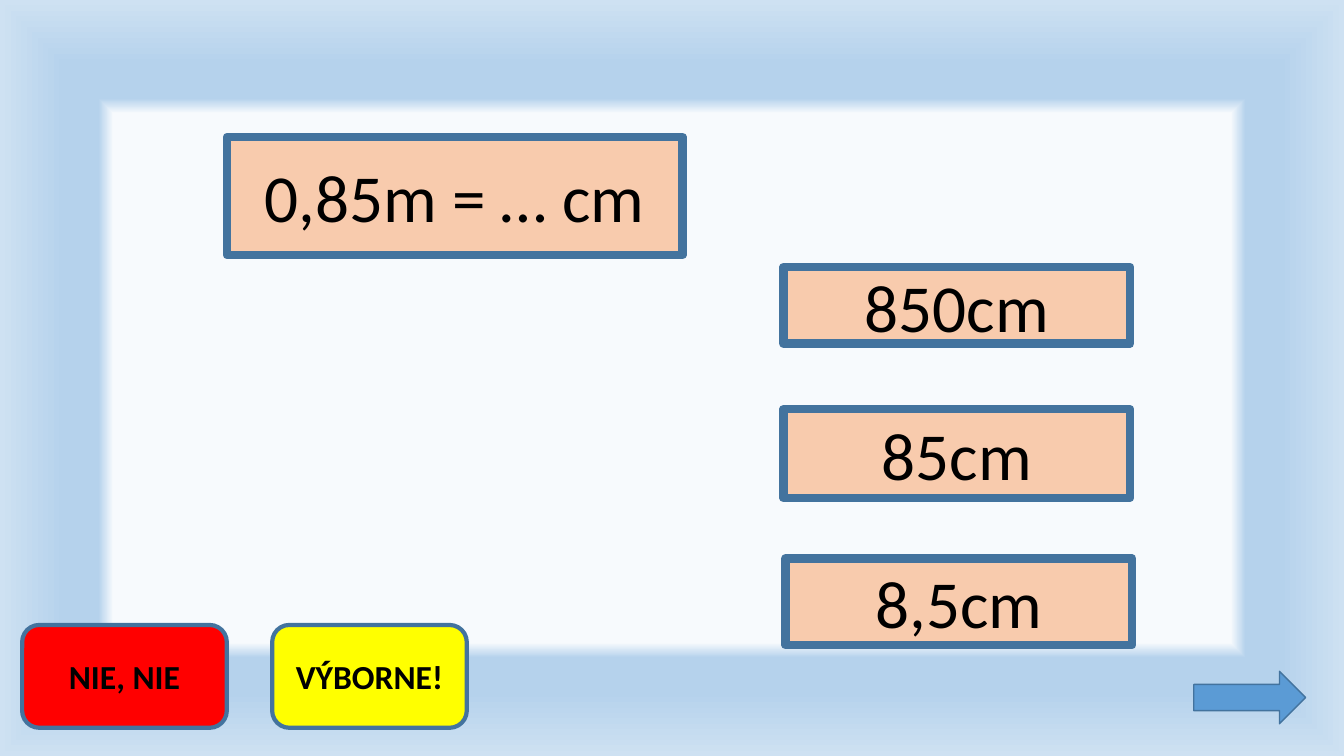
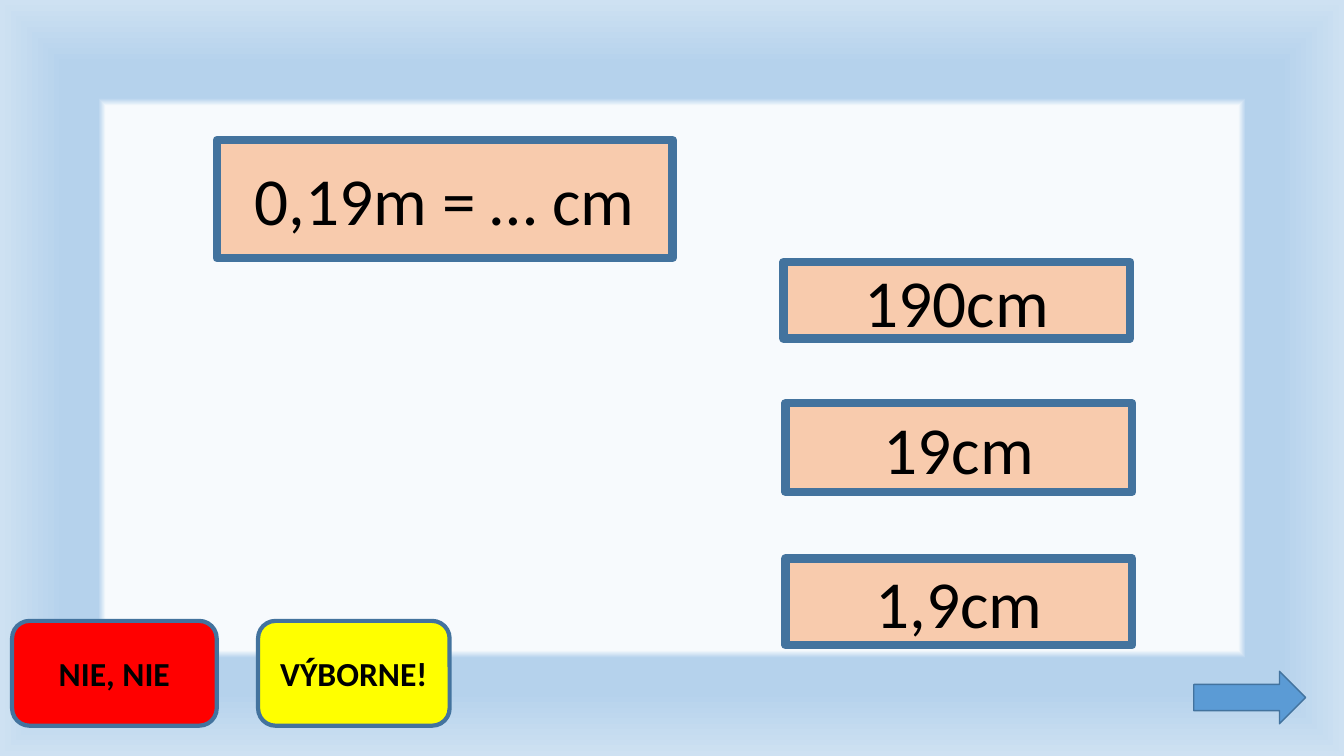
import pptx
import pptx.util
import pptx.oxml
import pptx.oxml.ns
import pptx.dml.color
import pptx.enum.shapes
import pptx.enum.text

Inches = pptx.util.Inches
SHAPE = pptx.enum.shapes.MSO_SHAPE
COLORS = {
    "center": "F7FAFD", "frame": "B5D2EC", "edge": "CEE1F2",
    "card": "F8CBAD", "outline": "43739E", "text": "000000",
    "wrong": "FF0000", "right": "FFFF00", "arrow": "5B9BD5",
}
CARD = {"kind": SHAPE.RECTANGLE, "line": 6, "font": {"size": 48, "bold": False}}
BUTTON = {"kind": SHAPE.ROUNDED_RECTANGLE, "line": 3, "font": {"size": 24, "bold": True}}
ARROW = {"kind": SHAPE.RIGHT_ARROW, "line": 1}

# Boxes are left, top, width, height in inches
QUIZ = [
    {"center_end": 70,
     "cards": [("0,85m = … cm", (2.25, 1.36, 4.52, 1.17)),
               ("850cm", (7.77, 2.65, 3.44, 0.76)),
               ("85cm", (7.77, 4.06, 3.44, 0.88)),
               ("8,5cm", (7.79, 5.54, 3.44, 0.86))],
     "wrong": (0.22, 6.2, 2.03, 1.02),
     "right": (2.7, 6.2, 1.93, 1.02)},
    {"center_end": 72,
     "cards": [("0,19m = … cm", (2.15, 1.39, 4.52, 1.17)),
               ("190cm", (7.77, 2.6, 3.44, 0.76)),
               ("19cm", (7.79, 4, 3.44, 0.88)),
               ("1,9cm", (7.79, 5.54, 3.44, 0.86))],
     "wrong": (0.12, 6.16, 2.03, 1.04),
     "right": (2.56, 6.16, 1.9, 1.04)},
]


def set_background(s, center_end):
    """Fill the slide with a gradient running from its centre to its edges."""
    s.background.fill.gradient()
    grad = s.element.find(".//" + pptx.oxml.ns.qn("a:gradFill"))
    stops = [(center_end, "center"), (74, "frame"), (83, "frame"), (100, "edge")]
    gs = "".join(f'<a:gs pos="{pos * 1000}"><a:srgbClr val="{COLORS[name]}"/></a:gs>'
                 for pos, name in stops)
    new = pptx.oxml.parse_xml(
        f'<a:gradFill {pptx.oxml.ns.nsdecls("a")} rotWithShape="1"><a:gsLst>{gs}</a:gsLst>'
        '<a:path path="shape"><a:fillToRect l="50000" t="50000" r="50000" b="50000"/>'
        '</a:path></a:gradFill>')
    grad.getparent().replace(grad, new)


def add_box(s, style, box, fill, text=None):
    sp = s.shapes.add_shape(style["kind"], *map(Inches, box))
    sp.shadow.inherit = False
    sp.fill.solid()
    sp.fill.fore_color.rgb = pptx.dml.color.RGBColor.from_string(COLORS[fill])
    sp.line.color.rgb = pptx.dml.color.RGBColor.from_string(COLORS["outline"])
    sp.line.width = pptx.util.Pt(style["line"])
    if text:
        tf = sp.text_frame
        tf.vertical_anchor = pptx.enum.text.MSO_ANCHOR.MIDDLE
        p = tf.paragraphs[0]
        p.alignment = pptx.enum.text.PP_ALIGN.CENTER
        r = p.add_run()
        r.text = text
        font = {"name": "Calibri", **style["font"]}
        font["size"] = pptx.util.Pt(font["size"])
        for attr, value in font.items():
            setattr(r.font, attr, value)
        r.font.color.rgb = pptx.dml.color.RGBColor.from_string(COLORS["text"])


prs = pptx.Presentation()
prs.slide_width, prs.slide_height = Inches(13.33), Inches(7.5)

for quiz in QUIZ:
    s = prs.slides.add_slide(prs.slide_layouts[6])
    set_background(s, quiz["center_end"])
    for text, box in quiz["cards"]:
        add_box(s, CARD, box, "card", text)
    for answer, text in (("wrong", "NIE, NIE"), ("right", "VÝBORNE!")):
        add_box(s, BUTTON, quiz[answer], answer, text)
    add_box(s, ARROW, (11.84, 6.66, 1.11, 0.52), "arrow")

prs.save("out.pptx")
